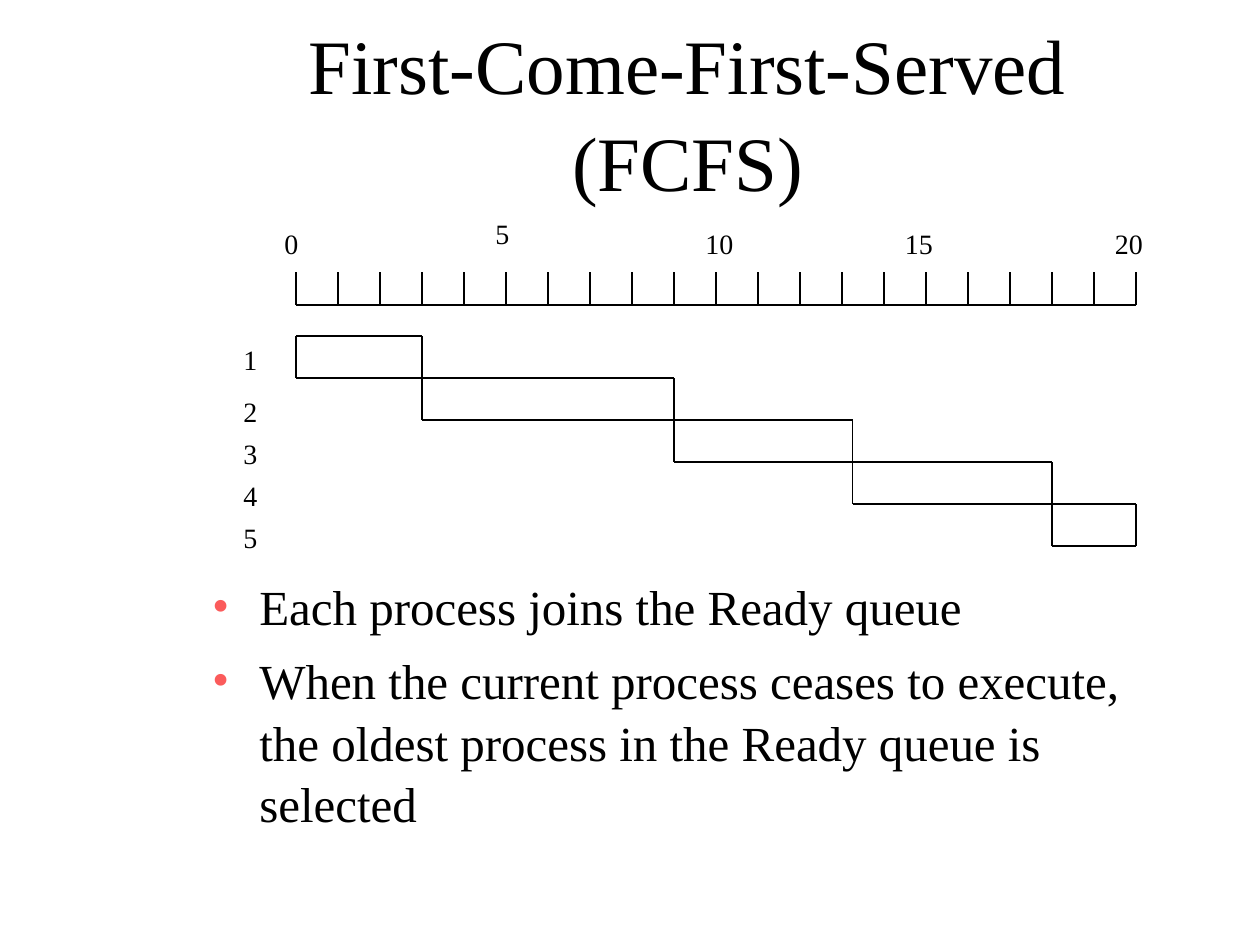
from dataclasses import dataclass

from lxml.etree import SubElement
from pptx import Presentation
from pptx.dml.color import RGBColor
from pptx.enum.shapes import MSO_CONNECTOR as Connector
from pptx.enum.text import MSO_ANCHOR as Anchor, MSO_AUTO_SIZE as AutoSize, PP_ALIGN as Align
from pptx.oxml.ns import qn
from pptx.util import Pt

TITLE_LINES = ["First-Come-First-Served", "(FCFS)"]
BULLETS = [
    "Each process joins the Ready queue",
    "When the current process ceases to execute, the oldest process in the Ready queue is selected",
]
# Process label, label top, start time, end time
PROCESSES = [
    ("1", 192, 0, 3),
    ("2", 222, 3, 9),
    ("3", 246, 9, 13.25),
    ("4", 270, 13.25, 18),
    ("5", 294, 18, 20),
]
# Time label, left, top
TIME_LABELS = [
    ("0", 155.5, 126),
    ("5", 276, 120),
    ("10", 396, 126),
    ("15", 510, 126),
    ("20", 630, 126),
]
LAST_TIME = 20


@dataclass(frozen=True)
class Theme:
    font: str = "Times New Roman"
    ink: RGBColor = RGBColor(0, 0, 0)
    bullet: str = "FB5B5B"
    title_size: int = 44
    body_size: int = 28
    label_size: int = 16
    line_width: int = 1
    line_spacing: float = 1.05


THEME = Theme()
TITLE_BOX = (114, 18, 558, 90)
BODY_BOX = (114, 324, 570, 156)
ORIGIN, UNIT = 169.2, 24
RULER_Y, TICK = 174.2, 18.7
BARS_TOP, BAR_HEIGHT = 192.2, 24
PROCESS_LABEL_LEFT = 132
HANGING = 27


def time_x(time):
    return ORIGIN + UNIT * time


def add_run(paragraph, text, size):
    run = paragraph.add_run()
    run.text = text
    run.font.name = THEME.font
    run.font.size = Pt(size)
    run.font.color.rgb = THEME.ink


def place(placeholder, box, anchor):
    placeholder.left, placeholder.top, placeholder.width, placeholder.height = map(Pt, box)
    frame = placeholder.text_frame
    frame.auto_size = AutoSize.NONE
    frame.word_wrap = True
    frame.vertical_anchor = anchor
    return frame


def add_line(shapes, x1, y1, x2, y2):
    line = shapes.add_connector(Connector.STRAIGHT, Pt(x1), Pt(y1), Pt(x2), Pt(y2))
    line.line.color.rgb = THEME.ink
    line.line.width = Pt(THEME.line_width)
    SubElement(line._element.spPr, qn("a:effectLst"))


def add_label(shapes, text, left, top):
    width = 14.4 + len(text) * THEME.label_size / 2
    frame = shapes.add_textbox(Pt(left), Pt(top), Pt(width), Pt(26)).text_frame
    frame.word_wrap = False
    frame.auto_size = AutoSize.SHAPE_TO_FIT_TEXT
    add_run(frame.paragraphs[0], text, THEME.label_size)


def add_title(slide):
    paragraph = place(slide.shapes.title, TITLE_BOX, Anchor.MIDDLE).paragraphs[0]
    paragraph.alignment = Align.CENTER
    paragraph.line_spacing = THEME.line_spacing
    for index, text in enumerate(TITLE_LINES):
        if index:
            paragraph.add_line_break()
        add_run(paragraph, text, THEME.title_size)


def add_bullets(slide):
    frame = place(slide.placeholders[1], BODY_BOX, Anchor.TOP)
    for index, text in enumerate(BULLETS):
        paragraph = frame.add_paragraph() if index else frame.paragraphs[0]
        paragraph.line_spacing = THEME.line_spacing
        paragraph.space_before = Pt(7 if index else 0)
        properties = paragraph._p.get_or_add_pPr()
        properties.set("marL", str(Pt(HANGING)))
        properties.set("indent", str(-Pt(HANGING)))
        colour = SubElement(properties, qn("a:buClr"))
        SubElement(colour, qn("a:srgbClr"), val=THEME.bullet)
        SubElement(properties, qn("a:buFont"), typeface=THEME.font)
        SubElement(properties, qn("a:buChar"), char="•")
        add_run(paragraph, text, THEME.body_size)


def add_ruler(slide):
    ruler = slide.shapes.add_group_shape().shapes
    add_line(ruler, time_x(0), RULER_Y, time_x(LAST_TIME), RULER_Y)
    for time in range(LAST_TIME + 1):
        add_line(ruler, time_x(time), RULER_Y, time_x(time), RULER_Y - TICK)
    for label in TIME_LABELS:
        add_label(ruler, *label)


def add_schedule(slide):
    for row, (name, label_top, start, end) in enumerate(PROCESSES):
        left, right = time_x(start), time_x(end)
        top = BARS_TOP + row * BAR_HEIGHT
        bottom = top + BAR_HEIGHT
        for x in (left, right):
            add_line(slide.shapes, x, top, x, bottom)
        for y in (top, bottom):
            add_line(slide.shapes, left, y, right, y)
        add_label(slide.shapes, name, PROCESS_LABEL_LEFT, label_top)


def main():
    deck = Presentation()
    deck.slide_width, deck.slide_height = Pt(720), Pt(540)
    slide = deck.slides.add_slide(deck.slide_layouts[1])
    add_title(slide)
    add_bullets(slide)
    add_ruler(slide)
    add_schedule(slide)
    deck.save("out.pptx")


if __name__ == "__main__":
    main()
